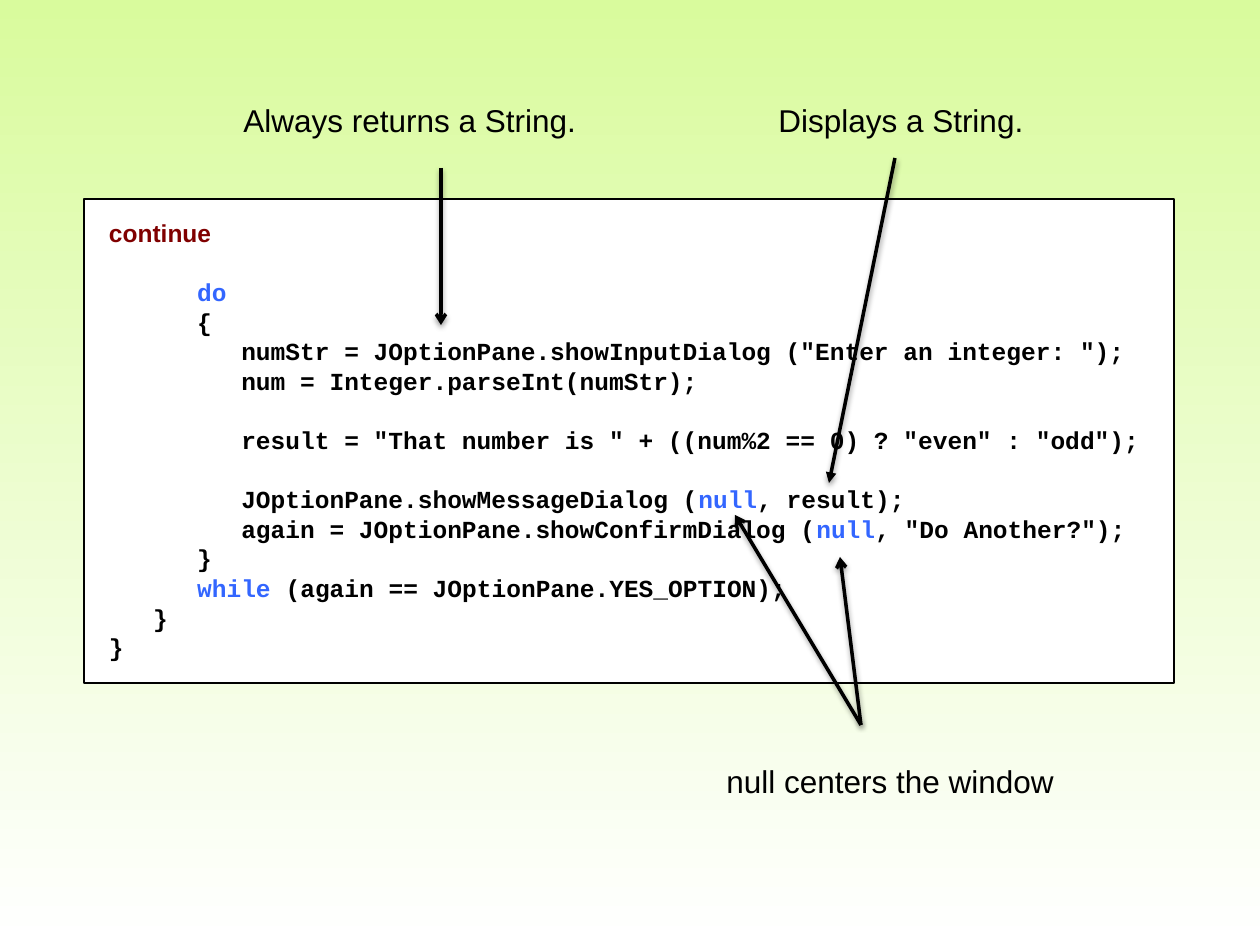
from lxml import etree
from pptx import Presentation
from pptx.dml.color import RGBColor
from pptx.enum.shapes import MSO_CONNECTOR, MSO_SHAPE
from pptx.enum.text import MSO_ANCHOR, PP_ALIGN
from pptx.oxml import parse_xml
from pptx.oxml.ns import nsdecls, qn
from pptx.util import Emu, Pt

RECTANGLE = MSO_SHAPE.RECTANGLE
STRAIGHT = MSO_CONNECTOR.STRAIGHT
TOP = MSO_ANCHOR.TOP
LEFT = PP_ALIGN.LEFT

PIXEL = 914400 // 126
COLORS = {
    "green": "D9FB9D",
    "white": "FFFFFF",
    "black": "000000",
    "heading": "800000",
    "keyword": "3366FF",
}
LINE_PITCH = Pt(16.9)
CHARACTER = Pt(8.4)
KEYWORDS = {"do", "while", "null"}


def color(name):
    """Return the named colour as an RGBColor."""
    return RGBColor.from_string(COLORS[name])


def add_run(paragraph, text, color_name, **font_format):
    """Append a run of text with the given colour and font values."""
    run = paragraph.add_run()
    run.text = text
    run.font.color.rgb = color(color_name)
    for name, value in font_format.items():
        setattr(run.font, name, value)


presentation = Presentation()
presentation.slide_width = Emu(1260 * PIXEL)
presentation.slide_height = Emu(945 * PIXEL)
slide = presentation.slides.add_slide(presentation.slide_layouts[6])

# Background
background = slide.background.fill
background.gradient()
background.gradient_angle = 270
for stop, position, name in zip(background.gradient_stops, (0, 1), ("green", "white")):
    stop.position = position
    stop.color.rgb = color(name)

# Code box
code_box = slide.shapes.add_shape(
    RECTANGLE, *(Emu(value * PIXEL) for value in (84, 199, 1090, 484)))
code_box.shadow.inherit = False
code_box.fill.solid()
code_box.fill.fore_color.rgb = color("white")
code_box.line.color.rgb = color("black")
code_box.line.width = Pt(0.75)
code_frame = code_box.text_frame
frame_format = {
    "word_wrap": True,
    "vertical_anchor": TOP,
    "margin_left": Emu(25 * PIXEL),
    "margin_right": Emu(25 * PIXEL),
    "margin_top": Emu(19 * PIXEL),
    "margin_bottom": Emu(19 * PIXEL),
}
for name, value in frame_format.items():
    setattr(code_frame, name, value)

heading = code_frame.paragraphs[0]
heading.alignment = LEFT
heading.line_spacing = LINE_PITCH
add_run(heading, "continue", "heading", name="Arial", size=Pt(14), bold=True)

# Each line: indent in characters, skipped lines before it, runs
code_lines = [
    (6, 1, ["do"]),
    (6, 0, ["{"]),
    (9, 0, ['numStr = JOptionPane.showInputDialog ("Enter an integer: ");']),
    (9, 0, ["num = Integer.parseInt(numStr);"]),
    (9, 1, ['result = "That number is " + ((num%2 == 0) ? "even" : "odd");']),
    (9, 1, ["JOptionPane.showMessageDialog (", "null", ", result);"]),
    (9, 0, ["again = JOptionPane.showConfirmDialog (", "null", ', "Do Another?");']),
    (6, 0, ["}"]),
    (6, 0, ["while", " (again == JOptionPane.YES_OPTION);"]),
    (3, 0, ["}"]),
    (0, 0, ["}"]),
]
for indent, skipped, texts in code_lines:
    paragraph = code_frame.add_paragraph()
    paragraph.alignment = LEFT
    paragraph.line_spacing = LINE_PITCH
    paragraph.space_before = Emu(skipped * LINE_PITCH)
    properties = paragraph._p.get_or_add_pPr()
    properties.set("marL", str(indent * CHARACTER))
    properties.set("indent", "0")
    for text in texts:
        color_name = "keyword" if text in KEYWORDS else "black"
        add_run(paragraph, text, color_name,
                name="Courier New", size=Pt(14), bold=True)

# Labels
labels = [
    ("Always returns a String.", 231, 95, 362),
    ("Displays a String.", 766, 95, 273),
    ("null centers the window", 714, 756, 362),
]
for text, left, top, width in labels:
    label = slide.shapes.add_textbox(
        *(Emu(value * PIXEL) for value in (left, top, width, 50)))
    label.text_frame.word_wrap = False
    add_run(label.text_frame.paragraphs[0], text, "black", name="Arial", size=Pt(18))

# Arrows
arrows = [
    (441, 168, 441, 325, "arrow"),
    (861, 725, 840, 557, "arrow"),
    (861, 725, 735, 515, "arrow"),
    (895, 158, 829, 483, "triangle"),
]
for *ends, head in arrows:
    arrow = slide.shapes.add_connector(
        STRAIGHT, *(Emu(value * PIXEL) for value in ends))
    arrow.line.color.rgb = color("black")
    arrow.line.width = Pt(2)
    etree.SubElement(arrow.line._get_or_add_ln(), qn("a:tailEnd"), type=head)
    arrow._element.spPr.append(parse_xml(
        f'<a:effectLst {nsdecls("a")}>'
        '<a:outerShdw blurRad="40000" dist="20000" dir="5400000" rotWithShape="0">'
        f'<a:srgbClr val="{COLORS["black"]}"><a:alpha val="38000"/></a:srgbClr>'
        '</a:outerShdw></a:effectLst>'))

presentation.save("out.pptx")
